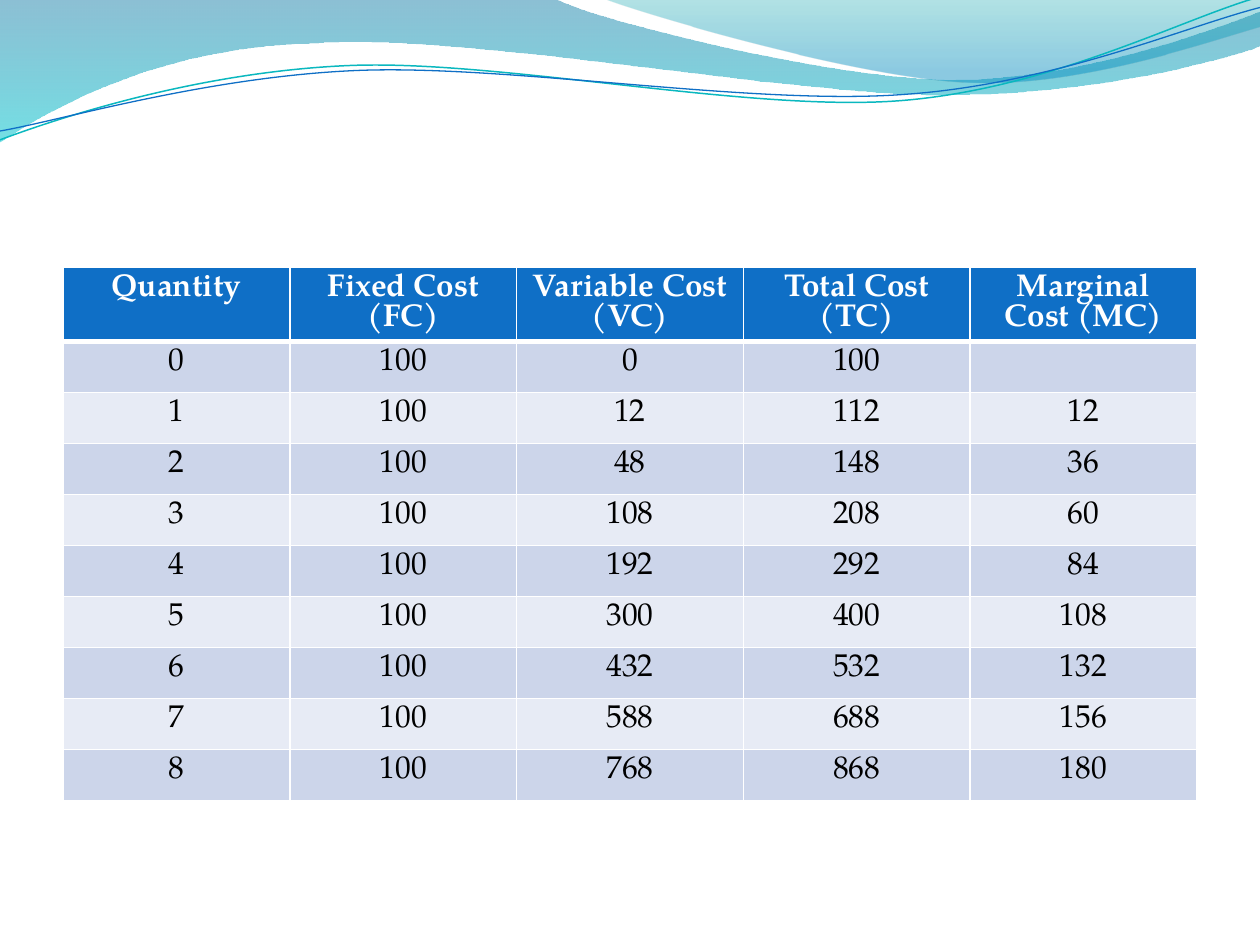
import math
import pptx
import pptx.dml.color
import pptx.enum.text
import pptx.oxml
import pptx.oxml.ns
import pptx.util

RGB = pptx.dml.color.RGBColor
Inches = pptx.util.Inches
Pt = pptx.util.Pt
qn = pptx.oxml.ns.qn
SPACE = pptx.oxml.ns.nsdecls("a")

WHITE = RGB(0xFF, 0xFF, 0xFF)
BLACK = RGB(0x00, 0x00, 0x00)
BLUE = RGB(0x0F, 0x6F, 0xC6)
TEAL = RGB(0x0A, 0xB8, 0xBF)
BANDS = RGB(0xCC, 0xD5, 0xEA), RGB(0xE7, 0xEB, 0xF5)
DEEP, AQUA = RGB(0x00, 0x74, 0xA1), RGB(0x00, 0xC6, 0xCF)
GREEN, SKY = RGB(0x00, 0xA1, 0xA9), RGB(0x00, 0x8B, 0xBF)

FONT = "TeX Gyre Pagella"
TILT = -2.7

# Each outline is a start point, then lines (x, y) and cubic curves (6 numbers).
LEFT_WAVE = [
    (0, 0), (4.4, -0.01),
    (4.76, 0.17, 6.64, 0.63, 7.58, 0.63), (8.53, 0.63, 9.58, 0.26, 10, 0.09),
    (10.01, 0.36),
    (9.83, 0.44, 8.7, 0.76, 7.46, 0.75), (6.22, 0.75, 3.82, 0.28, 2.57, 0.34),
    (1.29, 0.36, 0.46, 0.83, -0.01, 1.13), (0, 0),
]
RIGHT_WAVE = [
    (4.79, -0.01),
    (5.09, 0.11, 6.82, 0.62, 7.69, 0.65), (8.56, 0.69, 9.61, 0.32, 10, 0.21),
    (10, 0), (4.79, -0.01),
]
TEAL_LINE = [
    (0, 1.11),
    (0.48, 0.93, 1.58, 0.57, 2.77, 0.52), (3.95, 0.47, 5.93, 0.89, 7.13, 0.8),
    (8.33, 0.71, 9.38, 0.15, 9.98, -0.02),
]
BLUE_LINE = [
    (0, 1.04),
    (0.47, 0.96, 1.64, 0.61, 2.83, 0.56), (4.03, 0.51, 5.97, 0.84, 7.17, 0.75),
    (8.36, 0.67, 9.41, 0.21, 10, 0.06),
]

HEADS = ["Quantity", "Fixed Cost (FC)", "Variable Cost (VC)",
         "Total Cost (TC)", "Marginal Cost (MC)"]
COSTS = [
    (0, 100, 0, 100, ""),
    (1, 100, 12, 112, 12),
    (2, 100, 48, 148, 36),
    (3, 100, 108, 208, 60),
    (4, 100, 192, 292, 84),
    (5, 100, 300, 400, 108),
    (6, 100, 432, 532, 132),
    (7, 100, 588, 688, 156),
    (8, 100, 768, 868, 180),
]


def pairs(step):
    """Split a step into its points."""
    return list(zip(step[::2], step[1::2]))


def turn(steps, angle, pivot):
    """Rotate an outline clockwise about a pivot, in degrees."""
    cos, sin = math.cos(math.radians(angle)), math.sin(math.radians(angle))
    px, py = pivot

    def spin(x, y):
        """Rotate one point."""
        dx, dy = x - px, y - py
        return px + dx * cos - dy * sin, py + dx * sin + dy * cos

    return [sum((spin(x, y) for x, y in pairs(step)), ()) for step in steps]


def bend(shape, steps):
    """Join the lines of each six-number step into one cubic curve."""
    lines = iter(list(shape._element.iter(qn("a:lnTo"))))
    for step in steps[1:]:
        group = [next(lines) for _ in pairs(step)]
        if len(group) == 3:
            cubic = pptx.oxml.parse_xml(f"<a:cubicBezTo {SPACE}/>")
            group[0].addprevious(cubic)
            for line in group:
                cubic.append(line[0])
                line.getparent().remove(line)


def write(frame, text, size=18, color=BLACK, bold=False):
    """Put one centred line of styled text in a frame."""
    para = frame.paragraphs[0]
    para.alignment = pptx.enum.text.PP_ALIGN.CENTER
    if not text:
        return
    run = para.add_run()
    run.text = text
    run.font.name, run.font.size, run.font.bold = FONT, Pt(size), bold
    run.font.color.rgb = color


def edge(cell, **widths):
    """Give a cell white borders, with widths in points by side."""
    props = cell._tc.get_or_add_tcPr()
    for side in "LRTB":
        props.append(pptx.oxml.parse_xml(
            f'<a:ln{side} {SPACE} w="{Pt(widths.get(side, 1))}">'
            f'<a:solidFill><a:srgbClr val="{WHITE}"/></a:solidFill></a:ln{side}>'))


class Deck:
    """Holds the deck and its current slide."""

    def __init__(self):
        """Start a deck with one blank slide."""
        self.file = pptx.Presentation()
        self.file.slide_width, self.file.slide_height = Inches(10), Inches(7.5)
        self.slide = self.file.slides.add_slide(self.file.slide_layouts[6])

    def draw(self, steps, close):
        """Add a freeform along an outline given in inches."""
        start, *rest = [(Inches(x), Inches(y))
                        for step in steps for x, y in pairs(step)]
        pen = self.slide.shapes.build_freeform(*start)
        pen.add_line_segments(rest, close=close)
        shape = pen.convert_to_shape()
        shape.shadow.inherit = False
        bend(shape, steps)
        return shape

    def wave(self, steps, stops):
        """Add a filled wave; stops are (position, colour, opacity)."""
        shape = self.draw(steps, True)
        shape.line.fill.background()
        shape.fill.gradient()
        shape.fill.gradient_angle = 270
        for stop, (place, color, _) in zip(shape.fill.gradient_stops, stops):
            stop.position, stop.color.rgb = place, color
        paints = shape._element.spPr.iter(qn("a:srgbClr"))
        for paint, (_, _, alpha) in zip(list(paints), stops):
            paint.append(pptx.oxml.parse_xml(
                f'<a:alpha {SPACE} val="{alpha * 1000}"/>'))

    def curve(self, steps, color, width, pivot):
        """Add a thin open curve, tilted about its pivot."""
        shape = self.draw(turn(steps, -TILT, pivot), False)
        shape.rotation = TILT
        shape.fill.background()
        shape.line.color.rgb, shape.line.width = color, Pt(width)

    def table(self, rows, left, top, width, height):
        """Add a banded table whose first row is the header."""
        box = map(Inches, (left, top, width, height))
        grid = self.slide.shapes.add_table(len(rows), len(rows[0]), *box).table
        for r, row in enumerate(rows):
            for c, value in enumerate(row):
                cell = grid.cell(r, c)
                edge(cell, B=1 if r else 3)
                cell.fill.solid()
                cell.fill.fore_color.rgb = BANDS[(r - 1) % 2] if r else BLUE
                write(cell.text_frame, str(value),
                      color=BLACK if r else WHITE, bold=r == 0)


def main():
    """Build the cost table slide."""
    deck = Deck()
    deck.wave(LEFT_WAVE, [(0, DEEP, 45), (1, AQUA, 55)])
    deck.wave(RIGHT_WAVE, [(0, GREEN, 30), (0.8, SKY, 45)])
    deck.curve(TEAL_LINE, TEAL, 0.85, (4.99, 0.58))
    deck.curve(BLUE_LINE, BLUE, 0.75, (5, 0.59))
    deck.table([HEADS] + COSTS, 0.5, 2.12, 9, 4.05)
    deck.file.save("out.pptx")


main()
